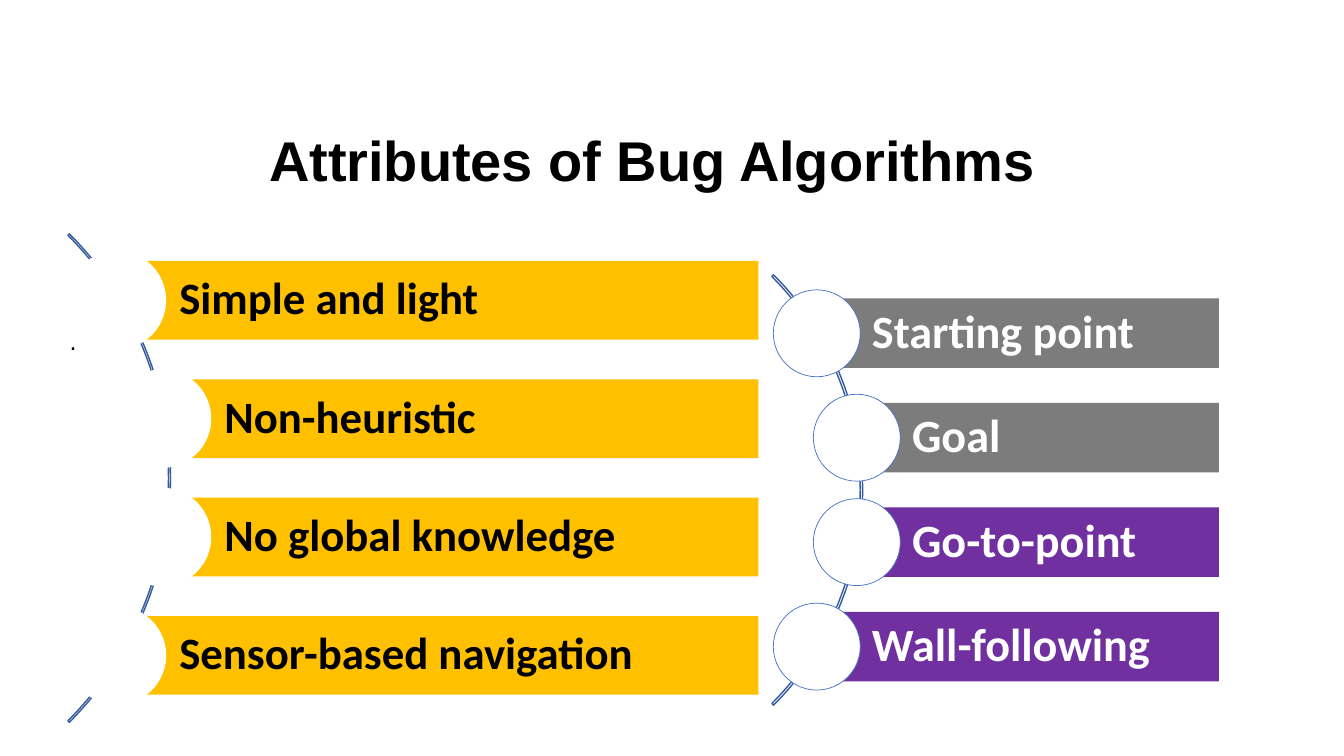
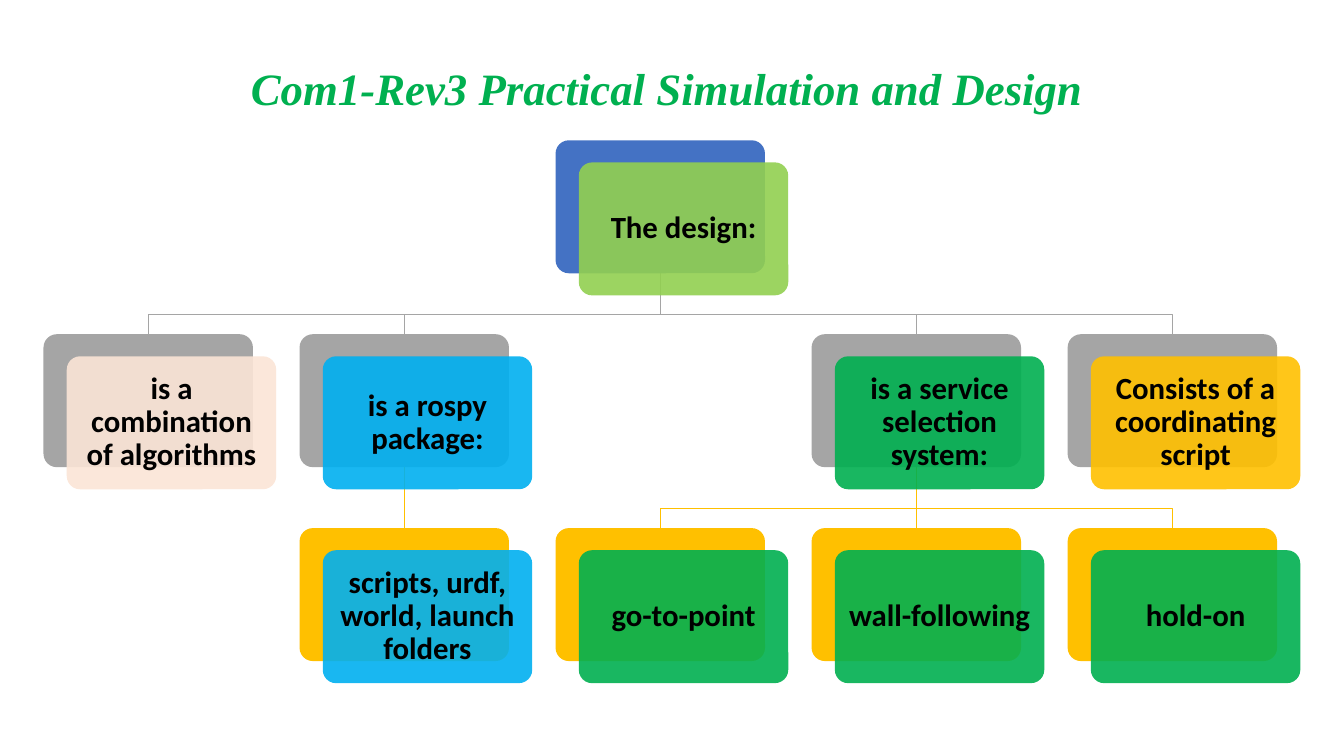
"""Build two slides: attributes of bug algorithms and the simulation design tree."""
from lxml.etree import SubElement
from pptx import Presentation
from pptx.dml.color import RGBColor
from pptx.enum.shapes import MSO_CONNECTOR, MSO_SHAPE
from pptx.enum.text import MSO_ANCHOR, MSO_AUTO_SIZE, PP_ALIGN
from pptx.oxml.ns import qn
from pptx.util import Pt

BLACK, WHITE, BLUE, ARC_BLUE = "000000", "FFFFFF", "4472C4", "365B9D"
GOLD, GRAY, DARK_GRAY, PURPLE = "FFC000", "A5A5A5", "7C7C7C", "7030A0"
GREEN, LIME, SKY, PEACH = "00B050", "92D050", "00B0F0", "FBE5D6"
colour = RGBColor.from_string


def add_box(page, preset, place, fill=None, line=None, weight=1):
    box = page.shapes.add_shape(preset, *map(Pt, place))
    box.shadow.inherit = False
    if fill:
        box.fill.solid()
        box.fill.fore_color.rgb = colour(fill)
    else:
        box.fill.background()
    if line:
        box.line.color.rgb = colour(line)
        box.line.width = Pt(weight)
    else:
        box.line.fill.background()
    return box


def write(box, text, name, size, ink, anchor, align=PP_ALIGN.LEFT, bold=True, italic=False):
    frame = box.text_frame
    frame.word_wrap = True
    frame.auto_size = MSO_AUTO_SIZE.NONE
    frame.vertical_anchor = anchor
    para = frame.paragraphs[0]
    para.text = text
    para.alignment = align
    para.line_spacing = 0.9
    para.space_before = Pt(0)
    para.font.name = name
    para.font.size = Pt(size)
    para.font.bold = bold
    para.font.italic = italic
    para.font.color.rgb = colour(ink)


deck = Presentation()
deck.slide_width, deck.slide_height = Pt(960), Pt(540)

titles = [
    (1, "Attributes of Bug Algorithms", (185, 81.4, 590.4, 60.5), "Arial", 40, BLACK, False),
    (5, "Com1-Rev3 Practical Simulation and Design", (172, 41, 615.6, 44.6),
     "Times New Roman", 32, GREEN, True),
]
pages = []
for layout, text, place, name, size, ink, italic in titles:
    page = deck.slides.add_slide(deck.slide_layouts[layout])
    title = page.shapes.title
    title.left, title.top, title.width, title.height = map(Pt, place)
    write(title, text, name, size, ink, MSO_ANCHOR.BOTTOM, italic=italic)
    pages.append(page)
attributes_page, design_page = pages

body = attributes_page.placeholders[1]
body.left, body.top, body.width, body.height = map(Pt, (42.5, 231, 871, 268))
properties = body.text_frame.paragraphs[0]._p.get_or_add_pPr()
properties.set("marL", "0")
properties.set("indent", "0")
SubElement(properties, qn("a:buNone"))
write(body, ".", "Arial", 18, BLACK, MSO_ANCHOR.TOP, bold=False)

curved_lists = [
    {"arc": (-371.6, 94.8, 493.4, 493.4), "thickness": 0.003, "left": 83.5, "step": 32.2,
     "right": 541.8, "top": 186.4, "pitch": 84.55, "height": 56.2, "disc": 70.4,
     "disc_line": None, "inset": 44.6, "size": 32, "ink": BLACK,
     "items": [("Simple and light", GOLD), ("Non-heuristic", GOLD),
               ("No global knowledge", GOLD), ("Sensor-based navigation", GOLD)]},
    {"arc": (181.4, 132.6, 434.8, 434.8), "thickness": 0.004, "left": 583.4, "step": 28.6,
     "right": 870.6, "top": 213.2, "pitch": 74.6, "height": 49.7, "disc": 62.1,
     "disc_line": BLUE, "inset": 39.5, "size": 33, "ink": WHITE,
     "items": [("Starting point", DARK_GRAY), ("Goal", DARK_GRAY),
               ("Go-to-point", PURPLE), ("Wall-following", PURPLE)]},
]
for group in curved_lists:
    arc = add_box(attributes_page, MSO_SHAPE.BLOCK_ARC, group["arc"], line=ARC_BLUE)
    for index, value in enumerate((189, 27, group["thickness"])):
        arc.adjustments[index] = value
    height, disc = group["height"], group["disc"]
    for row, (text, fill) in enumerate(group["items"]):
        left = group["left"] + (group["step"] if row in (1, 2) else 0)
        top = group["top"] + row * group["pitch"]
        bar = add_box(attributes_page, MSO_SHAPE.RECTANGLE,
                      (left, top, group["right"] - left, height), fill)
        bar.text_frame.margin_left = Pt(group["inset"])
        write(bar, text, "Calibri", group["size"], group["ink"], MSO_ANCHOR.MIDDLE)
        add_box(attributes_page, MSO_SHAPE.OVAL,
                (left - disc / 2, top + (height - disc) / 2, disc, disc),
                WHITE, group["disc_line"], 0.5)

CARD_WIDTH, CARD_HEIGHT = 149.6, 95
column_lefts = [31.1 + 182.88 * column for column in range(5)]
row_tops = [100.2 + 138.5 * row for row in range(3)]

branches = [(0, 2, 4, GRAY), (1, 3, 4, GOLD), (1, 3, 3, GOLD), (1, 3, 2, GOLD),
            (0, 2, 3, GRAY), (1, 1, 1, GOLD), (0, 2, 1, GRAY), (0, 2, 0, GRAY)]
for row, parent, child, ink in branches:
    start, end = (column_lefts[column] + CARD_WIDTH / 2 for column in (parent, child))
    top, bottom = row_tops[row] + CARD_HEIGHT, row_tops[row + 1]
    bend = top + 29.6
    if parent == child:
        branch = design_page.shapes.add_connector(
            MSO_CONNECTOR.STRAIGHT, Pt(start), Pt(top), Pt(end), Pt(bottom))
        SubElement(branch._element.spPr, qn("a:effectLst"))
    else:
        outline = design_page.shapes.build_freeform(Pt(start), Pt(top))
        outline.add_line_segments(
            [(Pt(x), Pt(y)) for x, y in ((start, bend), (end, bend), (end, bottom))], close=False)
        branch = outline.convert_to_shape()
        branch.shadow.inherit = False
        branch.fill.background()
    branch.line.color.rgb = colour(ink)
    branch.line.width = Pt(1)

cards = [
    (0, 2, "The design:", BLUE, LIME),
    (1, 0, "is a combination of algorithms", GRAY, PEACH),
    (1, 1, "is a rospy package:", GRAY, SKY),
    (2, 1, "scripts, urdf, world, launch folders", GOLD, SKY),
    (1, 3, "is a service selection system:", GRAY, GREEN),
    (2, 2, "go-to-point", GOLD, GREEN),
    (2, 3, "wall-following", GOLD, GREEN),
    (2, 4, "hold-on", GOLD, GREEN),
    (1, 4, "Consists of a coordinating script", GRAY, GOLD),
]
for row, column, text, back_fill, front_fill in cards:
    left, top = column_lefts[column], row_tops[row]
    back = add_box(design_page, MSO_SHAPE.ROUNDED_RECTANGLE,
                   (left, top, CARD_WIDTH, CARD_HEIGHT), back_fill)
    front = add_box(design_page, MSO_SHAPE.ROUNDED_RECTANGLE,
                    (left + 16.6, top + 15.8, CARD_WIDTH, CARD_HEIGHT), front_fill)
    back.adjustments[0] = front.adjustments[0] = 0.1
    SubElement(front._element.spPr.find(".//" + qn("a:srgbClr")), qn("a:alpha"), val="90000")
    frame = front.text_frame
    frame.margin_left = frame.margin_right = frame.margin_top = frame.margin_bottom = Pt(6.6)
    write(front, text, "Calibri", 22, BLACK, MSO_ANCHOR.MIDDLE, PP_ALIGN.CENTER)

deck.save("out.pptx")
